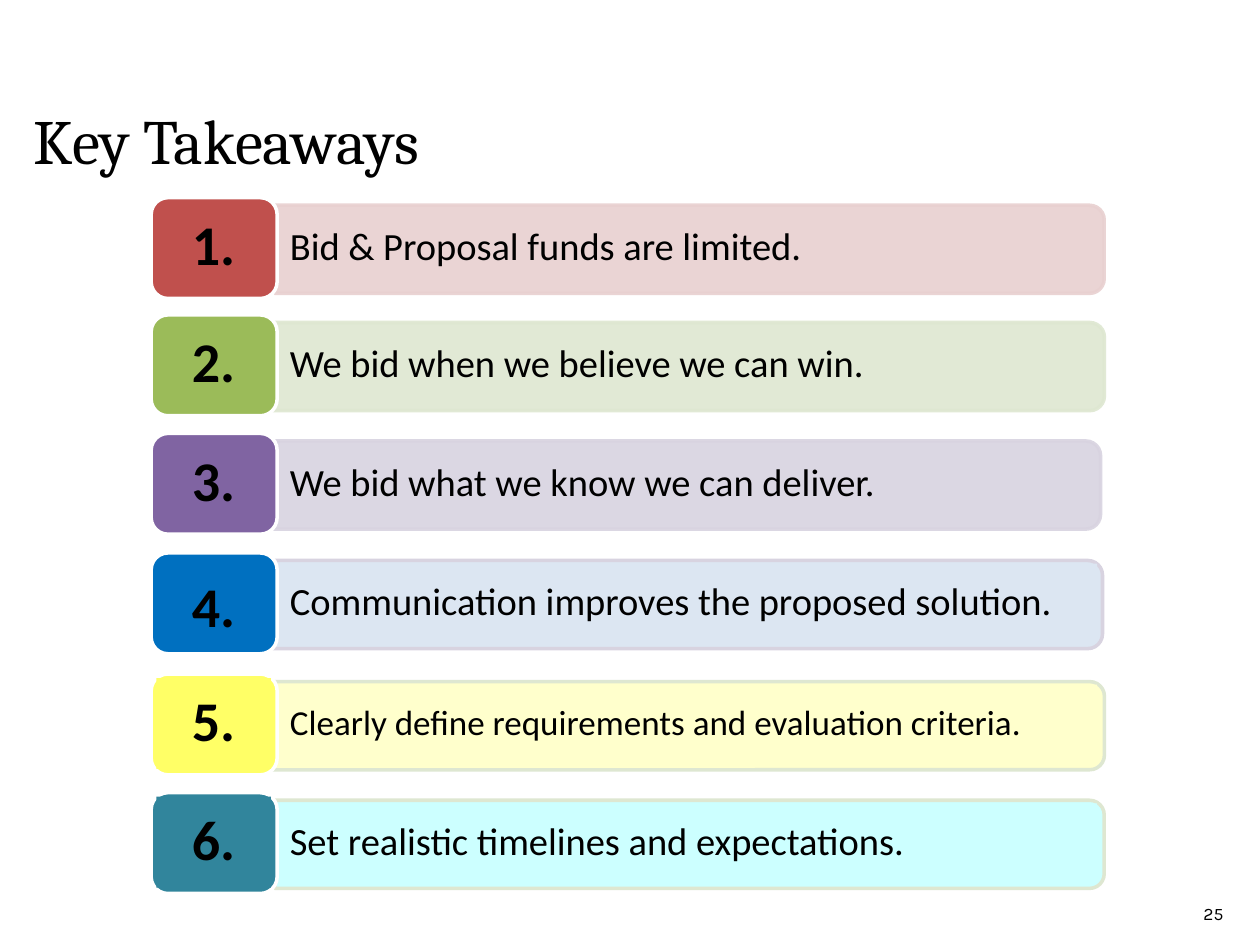
from pptx import Presentation
from pptx.dml.color import RGBColor
from pptx.enum import shapes, text
from pptx.oxml.ns import qn
from pptx.util import Pt
from lxml import etree

TILE_X, TILE_W, TILE_H = 86.4, 72, 57.6
BAR_H = 50.4
LABEL_X, LABEL_W, LABEL_H = 157, 470, 45.4
MID, TOP, LOW = (text.MSO_ANCHOR.MIDDLE, text.MSO_ANCHOR.TOP,
                 text.MSO_ANCHOR.BOTTOM)
LEFT, CENTER = text.PP_ALIGN.LEFT, text.PP_ALIGN.CENTER

# top, tile, bar, edge, opacity, bar left, bar width, number drop, size, words
ROWS = [
    (113, "C0504D", "E8D0D0", "E8D0D0", 90, 157, 474, 0, 22,
     "Bid & Proposal funds are limited."),
    (180, "9BBB59", "DEE7D1", "DEE7D1", 90, 153.7, 477.4, 0, 22,
     "We bid when we believe we can win."),
    (247.7, "8064A2", "D8D3E0", "D8D3E0", 90, 151.5, 477.4, 0, 22,
     "We bid what we know we can deliver."),
    (316, "0070C0", "DCE6F2", "D8D3E0", 100, 146.2, 483.8, 4, 22,
     "Communication improves the proposed solution."),
    (385.2, "FFFF66", "FFFFCC", "DEE7D1", 100, 153.7, 477.4, 0, 20,
     "Clearly define requirements and evaluation criteria."),
    (453, "31859C", "CCFFFF", "DEE7D1", 100, 157, 474, 0, 22,
     "Set realistic timelines and expectations."),
]


def paint(target, code, alpha=100):
    """Give a fill a solid colour, with its opacity in percent."""
    target.solid()
    target.fore_color.rgb = RGBColor.from_string(code)
    if alpha < 100:
        for clr in target._xPr.iter(qn("a:srgbClr")):
            if clr.getparent().getparent() is target._xPr:
                etree.SubElement(clr, qn("a:alpha"), val=str(alpha * 1000))


def add_box(slide, kind, x, y, w, h, fill, edge, alpha=100):
    box = slide.shapes.add_shape(kind, Pt(x), Pt(y), Pt(w), Pt(h))
    box.shadow.inherit = False
    paint(box.fill, fill, alpha)
    paint(box.line.fill, edge, alpha)
    box.line.width = Pt(2)
    return box


def add_bar(slide, x, mid, w, fill, edge, alpha):
    """Lay an upright tab on its side, so that its right corners are round."""
    bar = add_box(slide, shapes.MSO_SHAPE.ROUND_2_SAME_RECTANGLE,
                  x + (w - BAR_H) / 2, mid - w / 2, BAR_H, w,
                  fill, edge, alpha)
    bar.rotation = 90


def add_text(slide, words, x, y, w, h, size, font="Calibri", bold=False,
             align=LEFT, anchor=MID, space=0.9, pad=(7.2, 3.6), fill=None):
    box = slide.shapes.add_textbox(Pt(x), Pt(y), Pt(w), Pt(h))
    if fill:
        paint(box.fill, fill)
    frame = box.text_frame
    frame.word_wrap = True
    frame.vertical_anchor = anchor
    frame.margin_left = frame.margin_right = Pt(pad[0])
    frame.margin_top = frame.margin_bottom = Pt(pad[1])
    para = frame.paragraphs[0]
    para.alignment = align
    para.line_spacing = space
    run = para.add_run()
    run.text = words
    run.font.name = font
    run.font.size = Pt(size)
    run.font.bold = bold
    run.font.color.rgb = RGBColor.from_string("000000")


def add_row(slide, num, row):
    top, tile, tint, edge, alpha, x, w, drop, size, words = row
    mid = top + TILE_H / 2
    solid = alpha == 100
    add_bar(slide, x, mid + 0.7, w, tint, edge, alpha)
    add_text(slide, words, LABEL_X, mid - LABEL_H / 2, LABEL_W, LABEL_H,
             size, pad=(8.64, 4.32), fill=tint if solid else None)
    add_box(slide, shapes.MSO_SHAPE.ROUNDED_RECTANGLE,
            TILE_X, top, TILE_W, TILE_H, tile, "FFFFFF")
    high = 52 - 3 * drop
    add_text(slide, f"{num}.", 89.3, mid - high / 2 + drop - 0.5, 65.5, high,
             32, bold=True, align=CENTER, pad=(12.24, 5.76),
             fill=tile if solid else None)


def main():
    deck = Presentation()
    deck.slide_width, deck.slide_height = Pt(720), Pt(540)
    slide = deck.slides.add_slide(deck.slide_layouts[6])
    add_text(slide, "Key Takeaways", 12.2, 57.6, 437.8, 95, 36, "Cambria",
             anchor=TOP, space=Pt(40))
    add_text(slide, "25", 679.7, 502.6, 27.4, 28.8, 10, "Karla",
             align=CENTER, anchor=LOW, space=1.0)
    for num, row in enumerate(ROWS, 1):
        add_row(slide, num, row)
    deck.save("out.pptx")


if __name__ == "__main__":
    main()
